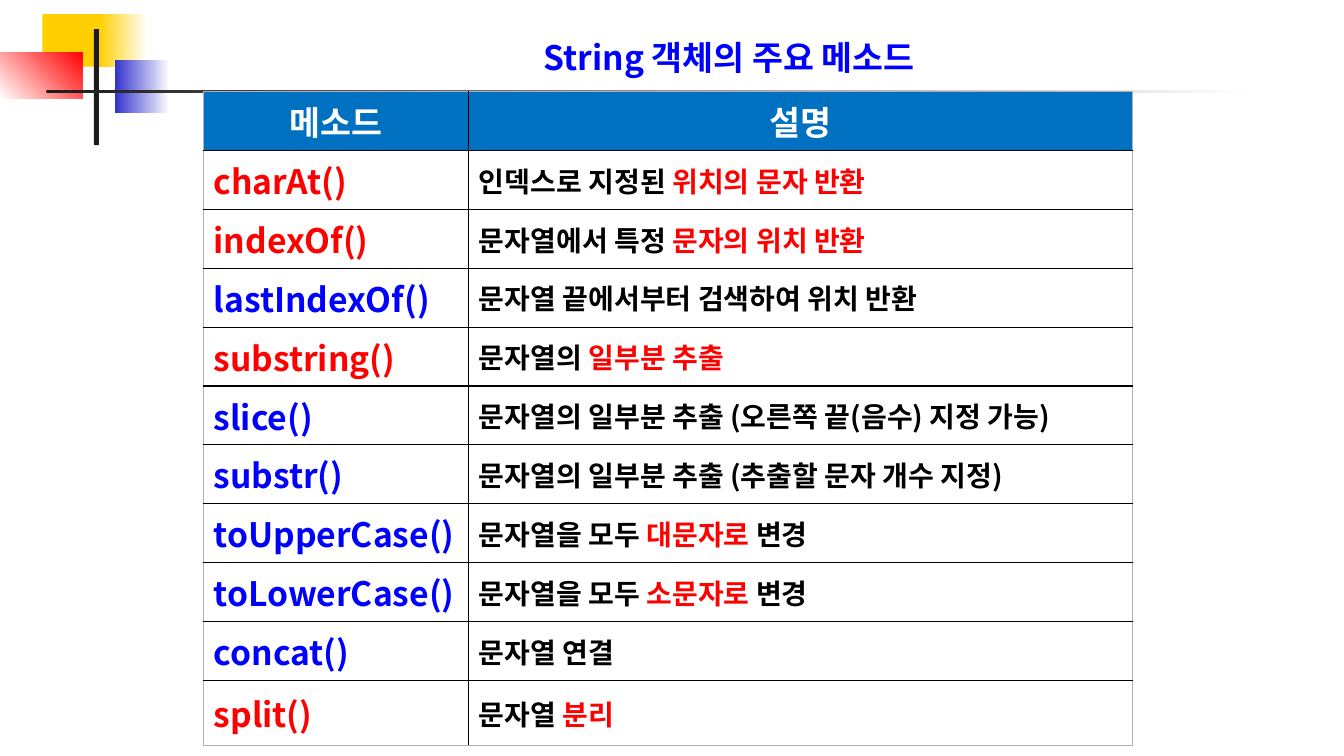
from pptx import Presentation
from pptx.dml.color import RGBColor
from pptx.enum.shapes import MSO_SHAPE as Shape
from pptx.enum.text import MSO_ANCHOR as Anchor, MSO_AUTO_SIZE as AutoSize, PP_ALIGN as Align
from pptx.oxml.ns import qn
from pptx.util import Inches, Pt
from lxml.etree import SubElement

COLORS = {
    "white": "FFFFFF", "black": "000000", "ink": "1C1C1C", "red": "FF0000",
    "blue": "0000FF", "indigo": "3333CC", "yellow": "FFCF01",
    "header": "0070C0", "edge": "B0B0B0",
}
FONT = "Noto Sans CJK KR"
TITLE = "String 객체의 주요 메소드"
HEADERS = ["메소드", "설명"]
METHODS = [
    ("charAt()", "red", [("인덱스로 지정된 ", "black"), ("위치의 문자 반환", "red")]),
    ("indexOf()", "red", [("문자열에서 특정 ", "black"), ("문자의 위치 반환", "red")]),
    ("lastIndexOf()", "blue", [("문자열 끝에서부터 검색하여 위치 반환", "black")]),
    ("substring()", "red", [("문자열의 ", "black"), ("일부분 추출", "red")]),
    ("slice()", "blue", [("문자열의 일부분 추출 (오른쪽 끝(음수) 지정 가능)", "black")]),
    ("substr()", "blue", [("문자열의 일부분 추출 (추출할 문자 개수 지정)", "black")]),
    ("toUpperCase()", "blue", [("문자열을 모두 ", "black"), ("대문자로", "red"), (" 변경", "black")]),
    ("toLowerCase()", "blue", [("문자열을 모두 ", "black"), ("소문자로", "red"), (" 변경", "black")]),
    ("concat()", "blue", [("문자열 연결", "black")]),
    ("split()", "red", [("문자열 ", "black"), ("분리", "red")]),
]
COLUMN_WIDTHS = [2.63, 6.58]
ROW_HEIGHTS = [0.5] * 8 + [0.55] * 2 + [0.65]
DECORATIONS = [
    ((0.42, 0.14, 0.64, 0.52), ["yellow"], 0),
    ((0.98, 0.14, 0.48, 0.52), ["yellow", "white"], 0),
    ((1.14, 0.6, 0.54, 0.52), ["indigo", "white"], 0),
    ((0, 0.52, 0.82, 0.46), ["white", "red"], 45),
    ((0.93, 0.29, 0.05, 1.15), ["ink"], 0),
    ((0.46, 0.89, 12, 0.03), ["ink", "white"], 0),
]


def color(name):
    return RGBColor.from_string(COLORS[name])


def add_decoration(slide, place, shades, angle):
    box = slide.shapes.add_shape(Shape.RECTANGLE, *map(Inches, place))
    box.shadow.inherit = False
    box.line.fill.background()
    if len(shades) == 1:
        box.fill.solid()
        box.fill.fore_color.rgb = color(shades[0])
        return
    box.fill.gradient()
    box.fill.gradient_angle = angle
    for stop, shade, position in zip(box.fill.gradient_stops, shades, (0, 1)):
        stop.color.rgb = color(shade)
        stop.position = position


def write(frame, runs, size, align):
    para = frame.paragraphs[0]
    para.alignment = align
    for text, shade in runs:
        span = para.add_run()
        span.text = text
        span.font.size = Pt(size)
        span.font.bold = True
        span.font.color.rgb = color(shade)
        span.font.name = FONT
        SubElement(span.font._element, qn("a:ea"), typeface=FONT)


def add_border(cell, side, outer):
    line = SubElement(cell._tc.get_or_add_tcPr(), qn(f"a:ln{side}"),
                      w=str(Pt(0.5 if outer else 1)))
    fill = SubElement(line, qn("a:solidFill"))
    SubElement(fill, qn("a:srgbClr"), val=COLORS["edge" if outer else "black"])


def add_methods_table(slide):
    rows = [[([(text, "white")], 24, Align.CENTER) for text in HEADERS]]
    rows += [[([(name, shade)], 24, Align.LEFT), (runs, 20, Align.LEFT)]
             for name, shade, runs in METHODS]
    table = slide.shapes.add_table(
        len(rows), len(HEADERS), Inches(2.02), Inches(0.91),
        Inches(sum(COLUMN_WIDTHS)), Inches(sum(ROW_HEIGHTS))).table
    table.horz_banding = False
    for column, width in zip(table.columns, COLUMN_WIDTHS):
        column.width = Inches(width)
    for row, height in zip(table.rows, ROW_HEIGHTS):
        row.height = Inches(height)
    last_row, last_column = len(rows) - 1, len(HEADERS) - 1
    for r, contents in enumerate(rows):
        for c, content in enumerate(contents):
            cell = table.cell(r, c)
            cell.vertical_anchor = Anchor.MIDDLE
            outer = {"L": c == 0, "R": c == last_column, "T": r == 0, "B": r == last_row}
            for side, is_outer in outer.items():
                add_border(cell, side, is_outer)
            cell.fill.solid()
            cell.fill.fore_color.rgb = color("white" if r else "header")
            write(cell.text_frame, *content)


def main():
    deck = Presentation()
    deck.slide_width, deck.slide_height = Inches(13.33), Inches(7.5)
    slide = deck.slides.add_slide(deck.slide_layouts[5])
    for decoration in DECORATIONS:
        add_decoration(slide, *decoration)
    title = slide.shapes.title
    title.left, title.top, title.width, title.height = map(Inches, (2.97, 0.21, 8.52, 0.61))
    title.text_frame.auto_size = AutoSize.NONE
    title.text_frame.vertical_anchor = Anchor.BOTTOM
    write(title.text_frame, [(TITLE, "blue")], 24, Align.CENTER)
    add_methods_table(slide)
    deck.save("out.pptx")


if __name__ == "__main__":
    main()
